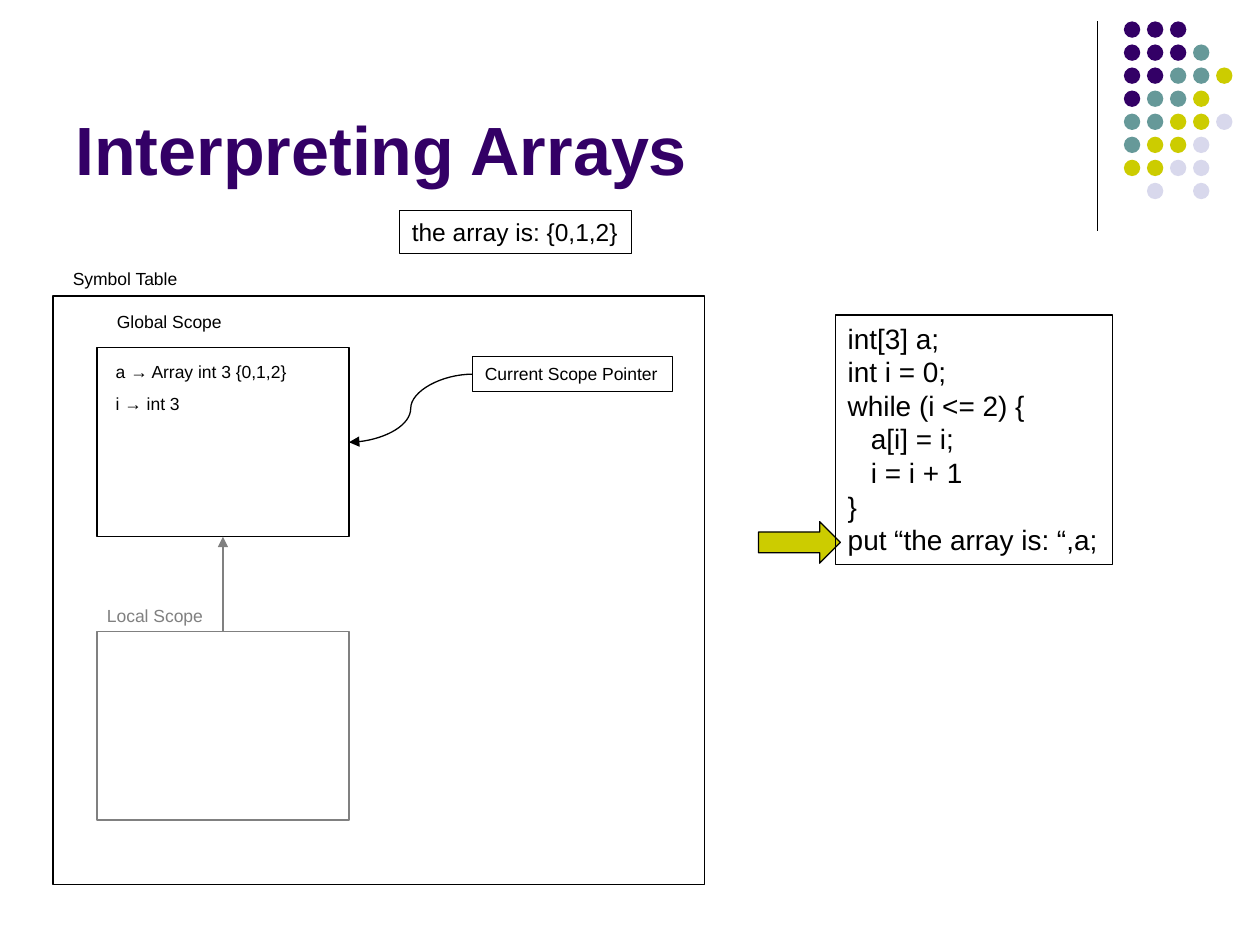
from lxml import etree
from pptx import Presentation
from pptx import util as u
from pptx.dml.color import RGBColor
from pptx.enum import shapes, text
from pptx.oxml.ns import qn

prs = Presentation()
prs.slide_width, prs.slide_height = u.Inches(10), u.Inches(7.5)
s = prs.slides.add_slide(prs.slide_layouts[6])
SHAPE, CONN = shapes.MSO_SHAPE, shapes.MSO_CONNECTOR


def rgb(color):
    return RGBColor.from_string(color)


def add_box(txt, x, y, w, h, *, kind=None, fill=None, line=None, size=10,
            color="000000", bold=False, wrap=False, anchor=text.MSO_ANCHOR.TOP):
    """Add a text box, or a preset shape when kind is given."""
    at = [u.Inches(v) for v in (x, y, w, h)]
    if kind is None:
        sp = s.shapes.add_textbox(*at)
    else:
        sp = s.shapes.add_shape(kind, *at)
        sp.shadow.inherit = False
        if fill:
            sp.fill.solid()
            sp.fill.fore_color.rgb = rgb(fill)
        else:
            sp.fill.background()
        if line:
            sp.line.color.rgb = rgb(line)
            sp.line.width = u.Pt(0.75)
        else:
            sp.line.fill.background()
    if txt:
        tf = sp.text_frame
        tf.word_wrap = wrap
        tf.vertical_anchor = anchor
        for i, row in enumerate(txt.split("\n")):
            p = tf.paragraphs[0] if i == 0 else tf.add_paragraph()
            p.alignment = text.PP_ALIGN.LEFT
            r = p.add_run()
            r.text = row
            r.font.name, r.font.size, r.font.bold = "Arial", u.Pt(size), bold
            r.font.color.rgb = rgb(color)
    return sp


# Corner dots: one letter per colour, a space for a gap
dot_colors = {"P": "330066", "T": "669999", "Y": "CCCC00", "L": "D8D8EC"}
dot_rows = ["PPP", "PPPT", "PPTTY", "PTTY", "TTYYL", "TYYL", "YYLL", " L L"]
for row, letters in enumerate(dot_rows):
    for col, letter in enumerate(letters):
        if letter in dot_colors:
            add_box("", 8.92 + col * 0.183, 0.17 + row * 0.183, 0.13, 0.13,
                    kind=SHAPE.OVAL, fill=dot_colors[letter])

# Title
add_box("Interpreting Arrays", 0.5, 0.13, 8.25, 1.42, size=39, bold=True,
        color="330066", wrap=True, anchor=text.MSO_ANCHOR.BOTTOM)

# Symbol table and its scopes
add_box("", 0.42, 2.35, 5.17, 4.67, kind=SHAPE.RECTANGLE, line="000000")
global_scope = add_box("", 0.77, 2.76, 2, 1.5, kind=SHAPE.RECTANGLE, line="000000")
local_scope = add_box("", 0.77, 5.01, 2, 1.5, kind=SHAPE.RECTANGLE, line="808080")
pointer = add_box("Current Scope Pointer", 3.75, 2.83, 1.59, 0.28,
                  kind=SHAPE.RECTANGLE, line="000000")
add_box("Symbol Table", 0.48, 2.08, 1.05, 0.27)
add_box("Global Scope", 0.83, 2.42, 1.03, 0.27)
add_box("Local Scope", 0.75, 4.75, 1.01, 0.27, color="808080")
add_box("a → Array int 3 {0,1,2}", 0.82, 2.82, 1.85, 0.27, wrap=True)
add_box("i → int 3", 0.82, 3.07, 1.85, 0.27, wrap=True)

# Code, the current statement arrow and the program output
add_box("", 6.02, 4.14, 0.65, 0.33, kind=SHAPE.RIGHT_ARROW,
        fill="CCCC00", line="000000")
code = """int[3] a;
int i = 0;
while (i <= 2) {
   a[i] = i;
   i = i + 1
}
put “the array is: “,a;"""
add_box(code, 6.63, 2.5, 2.2, 1.98, kind=SHAPE.RECTANGLE, line="000000", size=16)
add_box("the array is: {0,1,2}", 3.17, 1.67, 1.84, 0.34,
        kind=SHAPE.RECTANGLE, line="000000", size=14)

# Lines: the title divider, local to global scope, pointer to global scope
for kind, ends, color, joins in [
    (CONN.STRAIGHT, (8.71, 0.17, 8.71, 1.83), "000000", None),
    (CONN.STRAIGHT, (1.77, 5.01, 1.77, 4.26), "808080",
     (local_scope, 0, global_scope, 2)),
    (CONN.CURVE, (3.75, 2.97, 2.77, 3.51), "000000",
     (pointer, 1, global_scope, 3)),
]:
    c = s.shapes.add_connector(kind, *[u.Inches(v) for v in ends])
    c.line.color.rgb = rgb(color)
    c.line.width = u.Pt(0.75)
    if joins:
        c.begin_connect(*joins[:2])
        c.end_connect(*joins[2:])
        etree.SubElement(c.line._get_or_add_ln(), qn("a:tailEnd"), type="triangle")
    etree.SubElement(c._element.spPr, qn("a:effectLst"))

prs.save("out.pptx")
